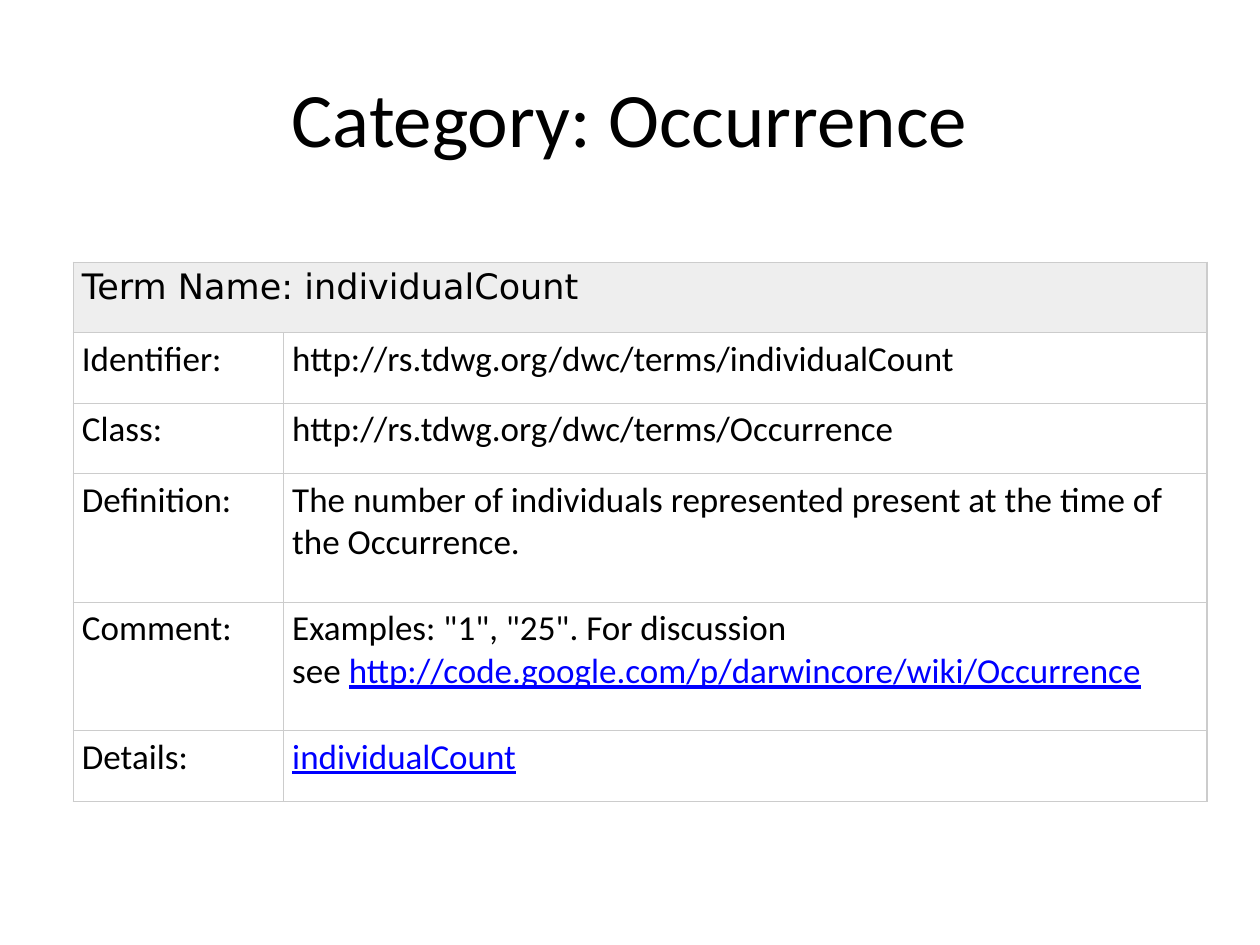
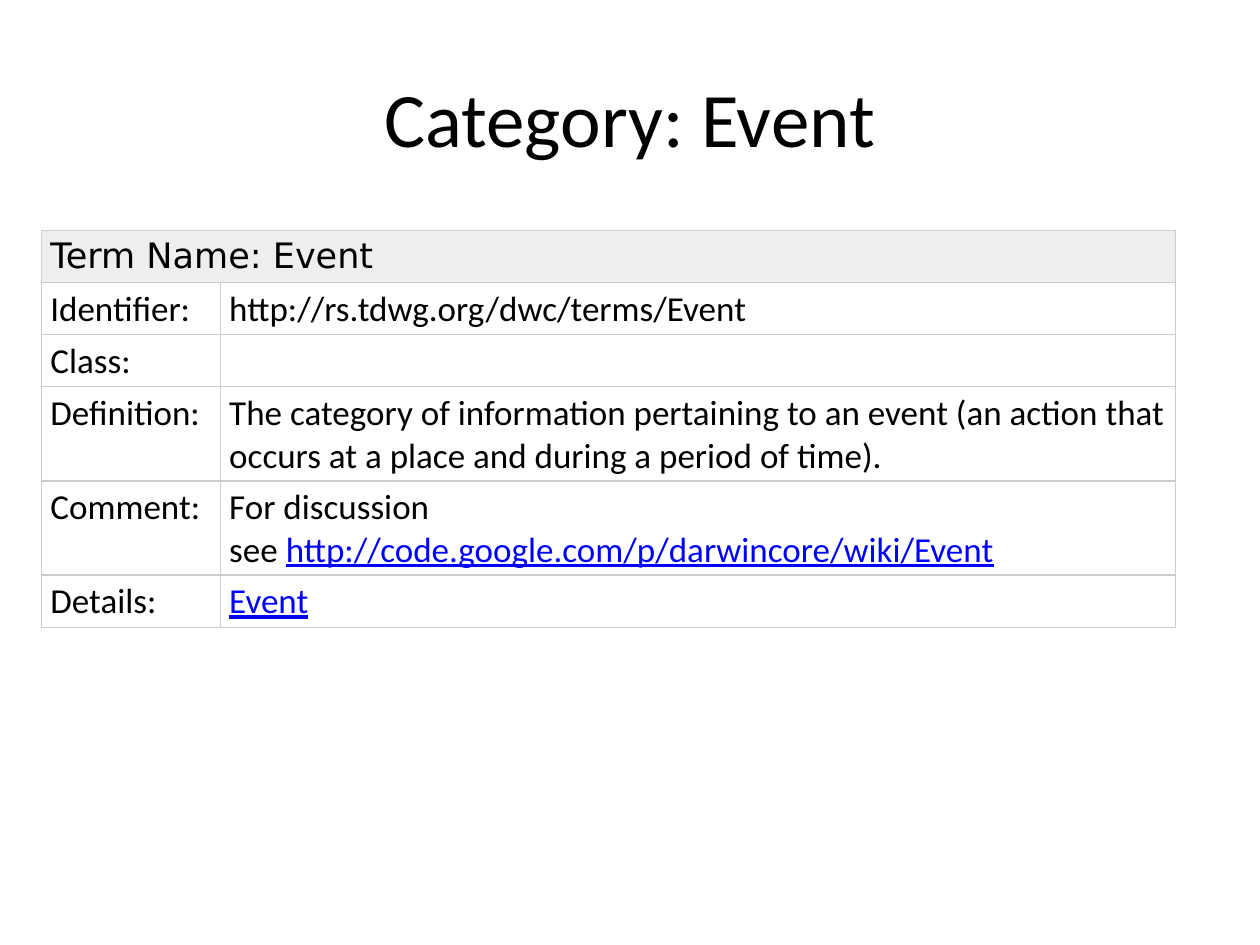
from dataclasses import dataclass

from lxml import etree
from pptx import Presentation
from pptx import util as u
from pptx.dml.color import RGBColor
from pptx.enum import text
from pptx.oxml import ns


@dataclass(frozen=True)
class Theme:
    ink: str = "000000"
    link: str = "0000FF"
    header_fill: str = "EEEEEE"
    border: str = "CCCCCC"
    border_width: float = 0.75
    title_size: int = 44
    body_size: int = 20
    body_font: str = "Calibri"
    header_font: str = "DejaVu Sans"


@dataclass(frozen=True)
class TermSlide:
    """One Darwin Core term, with the place and grid of its table."""
    category: str
    term: str
    term_class: str
    definition: str
    comment: str
    left: float
    top: float
    label_width: float
    short_row: float
    tall_row: float


THEME = Theme()
TABLE_WIDTH = 9
TERMS_URL = "http://rs.tdwg.org/dwc/terms/"
WIKI_URL = "http://code.google.com/p/darwincore/wiki/"
NO_BREAK_SPACE = chr(160)  # keeps "see" on the same line as its address

SLIDES = [
    TermSlide("Occurrence", "individualCount", TERMS_URL + "Occurrence",
              "The number of individuals represented present at the time of "
              "the Occurrence.",
              'Examples: "1", "25". For discussion see',
              0.58, 2.08, 1.67, 0.56, 1.02),
    TermSlide("Event", "Event", "",
              "The category of information pertaining to an event (an action "
              "that occurs at a place and during a period of time).",
              "For discussion see",
              0.33, 1.83, 1.42, 0.29, 0.51),
]


def apply_format(target, values: dict) -> None:
    for name, value in values.items():
        setattr(target, name, value)


def add_run(paragraph, words: str, size: int = THEME.body_size,
            font: str = THEME.body_font, link: bool = False) -> None:
    run = paragraph.add_run()
    run.text = words
    apply_format(run.font, {"name": font, "size": u.Pt(size), "underline": link})
    run.font.color.rgb = RGBColor.from_string(THEME.link if link else THEME.ink)


def add_title(slide, words: str) -> None:
    shape = slide.shapes.add_textbox(u.Inches(0.5), u.Inches(0.3),
                                     u.Inches(9), u.Inches(1.25))
    apply_format(shape.text_frame, {
        "word_wrap": True, "vertical_anchor": text.MSO_ANCHOR.MIDDLE})
    paragraph = shape.text_frame.paragraphs[0]
    paragraph.alignment = text.PP_ALIGN.CENTER
    add_run(paragraph, words, THEME.title_size)


def style_cell(cell, is_header: bool) -> None:
    apply_format(cell, {
        "margin_left": u.Inches(0.07), "margin_right": u.Inches(0.07),
        "margin_top": u.Inches(0.04), "margin_bottom": u.Inches(0.04)})
    # Borders come before the fill in the cell properties
    properties = cell._tc.get_or_add_tcPr()
    for side in ("lnL", "lnR", "lnT", "lnB"):
        line = etree.SubElement(properties, ns.qn(f"a:{side}"),
                                w=str(u.Pt(THEME.border_width)))
        fill = etree.SubElement(line, ns.qn("a:solidFill"))
        etree.SubElement(fill, ns.qn("a:srgbClr"), val=THEME.border)
    if is_header:
        cell.fill.solid()
        cell.fill.fore_color.rgb = RGBColor.from_string(THEME.header_fill)
    else:
        cell.fill.background()


def add_term_table(slide, term: TermSlide) -> None:
    # Each row: label, plain text, underlined address, height
    rows = [
        ("Identifier:", TERMS_URL + term.term, "", term.short_row),
        ("Class:", term.term_class, "", term.short_row),
        ("Definition:", term.definition, "", term.tall_row),
        ("Comment:", term.comment + NO_BREAK_SPACE, WIKI_URL + term.category,
         term.tall_row),
        ("Details:", "", term.term, term.short_row),
    ]
    heights = [term.short_row] + [row[-1] for row in rows]
    table = slide.shapes.add_table(
        len(heights), 2, u.Inches(term.left), u.Inches(term.top),
        u.Inches(TABLE_WIDTH), u.Inches(sum(heights))).table
    apply_format(table, {"first_row": False, "horz_banding": False})
    for column, width in zip(table.columns,
                             (term.label_width, TABLE_WIDTH - term.label_width)):
        column.width = u.Inches(width)
    for index, height in enumerate(heights):
        table.rows[index].height = u.Inches(height)
        for cell in table.rows[index].cells:
            style_cell(cell, is_header=index == 0)

    # Header row across both columns
    header = table.cell(0, 0)
    header.merge(table.cell(0, 1))
    add_run(header.text_frame.paragraphs[0], f"Term Name: {term.term}",
            font=THEME.header_font)

    # Label and value rows
    for index, (label, plain, address, _) in enumerate(rows, start=1):
        add_run(table.cell(index, 0).text_frame.paragraphs[0], label)
        paragraph = table.cell(index, 1).text_frame.paragraphs[0]
        if plain:
            add_run(paragraph, plain)
        if address:
            add_run(paragraph, address, link=True)


def main() -> None:
    presentation = Presentation()
    apply_format(presentation, {"slide_width": u.Inches(10),
                                "slide_height": u.Inches(7.5)})
    for term in SLIDES:
        slide = presentation.slides.add_slide(presentation.slide_layouts[6])
        add_title(slide, f"Category: {term.category}")
        add_term_table(slide, term)
    presentation.save("out.pptx")


if __name__ == "__main__":
    main()
